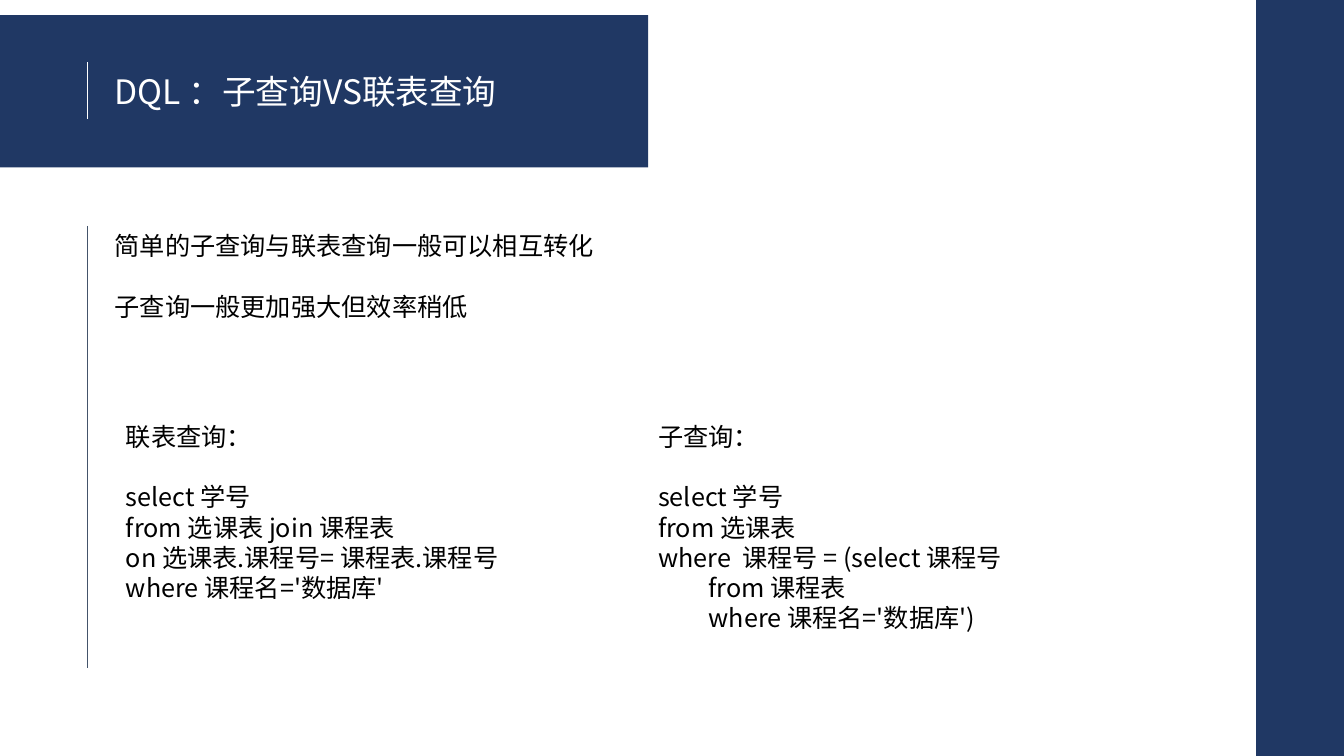
from pptx import Presentation
from pptx.dml.color import RGBColor
from pptx.enum.shapes import MSO_CONNECTOR as Connector, MSO_SHAPE as Shape
from pptx.oxml.ns import qn
from pptx.util import Inches, Pt
from lxml.etree import SubElement

NAVY = RGBColor(0x20, 0x38, 0x64)
SLATE = RGBColor(0x44, 0x54, 0x6A)
WHITE = RGBColor(0xFF, 0xFF, 0xFF)
BLACK = RGBColor(0x00, 0x00, 0x00)
FONT = "Noto Sans CJK SC"
LINE_HEIGHT = 1.2
RULE_X = 0.87

STATEMENTS = ["简单的子查询与联表查询一般可以相互转化", "子查询一般更加强大但效率稍低"]
JOIN_QUERY = [
    "联表查询：",
    "select 学号",
    "from 选课表 join 课程表",
    "on 选课表.课程号= 课程表.课程号",
    "where 课程名='数据库'",
]
SUBQUERY = [
    "子查询：",
    "select 学号",
    "from 选课表",
    "where  课程号 = (select 课程号",
    "\tfrom 课程表",
    "\twhere 课程名='数据库')",
]


def add_panel(slide, left, top, width, height):
    panel = slide.shapes.add_shape(
        Shape.RECTANGLE, Inches(left), Inches(top), Inches(width), Inches(height))
    panel.shadow.inherit = False
    panel.fill.solid()
    panel.fill.fore_color.rgb = NAVY
    panel.line.fill.background()


def add_rule(slide, top, bottom, color):
    rule = slide.shapes.add_connector(
        Connector.STRAIGHT, Inches(RULE_X), Inches(top), Inches(RULE_X), Inches(bottom))
    rule.line.color.rgb = color
    rule.line.width = Pt(0.5)
    SubElement(rule._element.spPr, qn("a:effectLst"))


def add_text(slide, left, top, width, height, lines, size=18, color=BLACK):
    box = slide.shapes.add_textbox(
        Inches(left), Inches(top), Inches(width), Inches(height))
    frame = box.text_frame
    frame.word_wrap = True
    for index, line in enumerate(lines):
        paragraph = frame.paragraphs[0] if index == 0 else frame.add_paragraph()
        paragraph.text = line.lstrip("\t")
        paragraph.font.name = FONT
        paragraph.font.size = Pt(size)
        paragraph.font.color.rgb = color
        paragraph.line_spacing = Pt(size * LINE_HEIGHT)
        if index == 1:
            paragraph.space_before = Pt(size * LINE_HEIGHT)
        if line.startswith("\t"):
            paragraph.level = 1
            properties = paragraph._p.get_or_add_pPr()
            properties.set("marL", str(Inches(0.5)))
            properties.set("indent", "0")


def main():
    presentation = Presentation()
    presentation.slide_width = Inches(13.33)
    presentation.slide_height = Inches(7.5)
    slide = presentation.slides.add_slide(presentation.slide_layouts[6])

    add_panel(slide, 0, 0.15, 6.43, 1.51)
    add_text(slide, 1.04, 0.65, 4.69, 0.5, ["DQL ：子查询VS联表查询"], 24, WHITE)
    add_rule(slide, 0.62, 1.18, WHITE)
    add_rule(slide, 2.24, 6.63, SLATE)
    add_panel(slide, 12.46, 0, 0.87, 7.5)
    add_text(slide, 1.04, 2.24, 11.04, 1.31, STATEMENTS)
    add_text(slide, 1.15, 4.13, 4.33, 1.92, JOIN_QUERY)
    add_text(slide, 6.43, 4.13, 4.33, 2.22, SUBQUERY)

    presentation.save("out.pptx")


if __name__ == "__main__":
    main()
